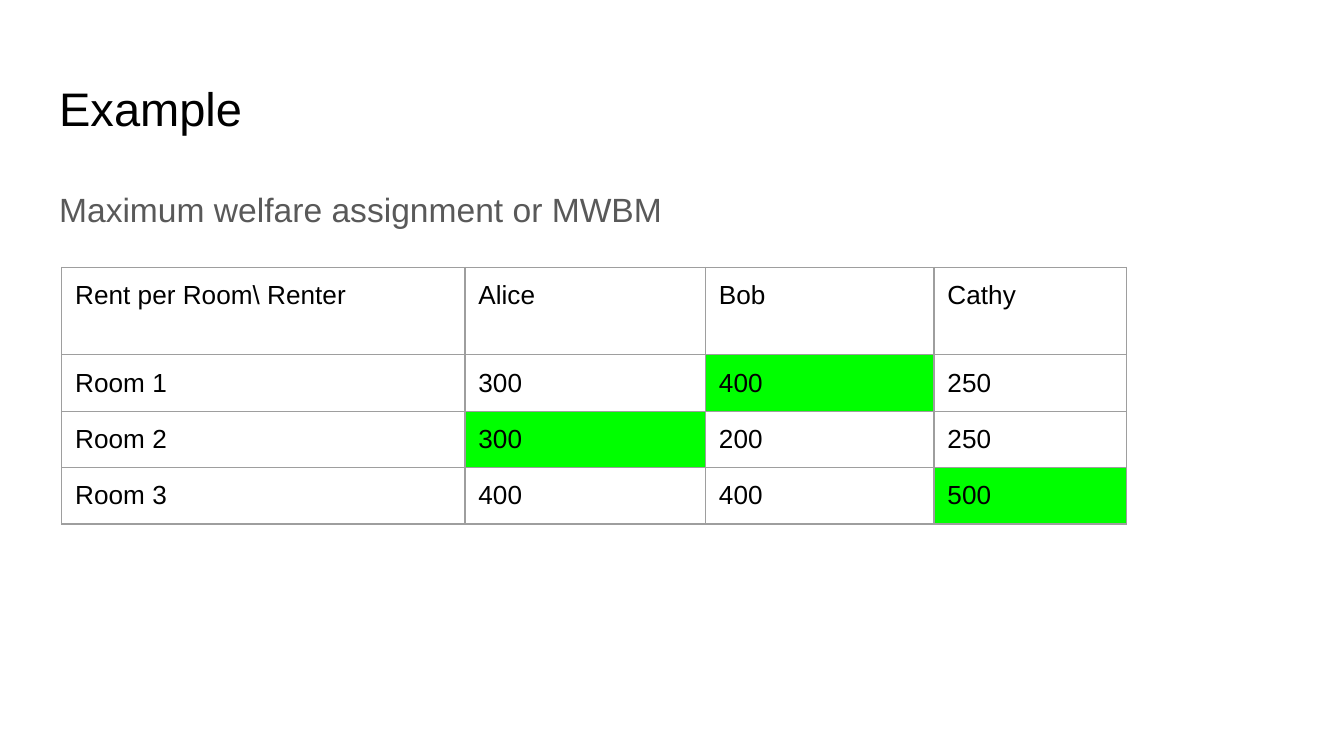
"""Build a slide with a room rent table and its best assignment."""
from lxml.etree import SubElement
from pptx import Presentation
from pptx.dml.color import RGBColor
from pptx.enum.text import MSO_ANCHOR, MSO_AUTO_SIZE, PP_ALIGN
from pptx.oxml import parse_xml
from pptx.oxml.ns import nsdecls, qn
from pptx.util import Inches, Pt

HUES = {"ink": "000000", "gray": "595959", "rule": "9E9E9E", "pick": "00FF00"}
INSET = {f"margin_{side}": Inches(0.1) for side in ("left", "top", "right", "bottom")}
FRAME = {**INSET, "word_wrap": True, "auto_size": MSO_AUTO_SIZE.NONE,
         "vertical_anchor": MSO_ANCHOR.TOP}


def style(para, size, hue):
    para.alignment = PP_ALIGN.LEFT
    look = {"name": "Arial", "size": Pt(size), "bold": False}
    for key, value in look.items():
        setattr(para.font, key, value)
    para.font.color.rgb = RGBColor.from_string(HUES[hue])


deck = Presentation()
deck.slide_width, deck.slide_height = Inches(10), Inches(10 * 9 / 16)
slide = deck.slides.add_slide(deck.slide_layouts[1])
title, body = slide.placeholders

texts = [
    (title, "Example", 0.49, 0.63, 25.2, "ink"),
    (body, "Maximum welfare assignment or MWBM", 1.26, 3.74, 18, "gray"),
]
for shape, text, top, height, size, hue in texts:
    place = {"left": Inches(0.34), "top": Inches(top),
             "width": Inches(9.32), "height": Inches(height)}
    for key, value in place.items():
        setattr(shape, key, value)
    frame = shape.text_frame
    frame.text = text
    for key, value in FRAME.items():
        setattr(frame, key, value)
    style(frame.paragraphs[0], size, hue)

para = body.text_frame.paragraphs[0]
props = para._p.get_or_add_pPr()
props.set("marL", "0")
props.set("indent", "0")
props.insert(0, parse_xml(f"<a:buNone {nsdecls('a')}/>"))
gaps = {"line_spacing": 1.15, "space_before": Pt(0), "space_after": Pt(12)}
for key, value in gaps.items():
    setattr(para, key, value)

rents = [
    ("Rent per Room\\ Renter", "Alice", "Bob", "Cathy"),
    ("Room 1", "300", "400", "250"),
    ("Room 2", "300", "200", "250"),
    ("Room 3", "400", "400", "500"),
]
picks = {(1, 2), (2, 1), (3, 3)}
widths = [3, 1.79, 1.7, 1.43]
heights = [0.65] + [0.42] * 3

table = slide.shapes.add_table(
    len(rents), len(widths), Inches(0.46), Inches(1.99),
    Inches(sum(widths)), Inches(sum(heights))).table
table.first_row = table.horz_banding = False
for col, width in zip(table.columns, widths):
    col.width = Inches(width)
for row, height in zip(table.rows, heights):
    row.height = Inches(height)

for i, line in enumerate(rents):
    for j, text in enumerate(line):
        cell = table.cell(i, j)
        cell.text = text
        for key, value in INSET.items():
            setattr(cell, key, value)
        style(cell.text_frame.paragraphs[0], 14, "ink")
        props = cell._tc.get_or_add_tcPr()
        for side in ("lnL", "lnR", "lnT", "lnB"):
            edge = SubElement(props, qn(f"a:{side}"), w=str(Pt(0.75)))
            fill = SubElement(edge, qn("a:solidFill"))
            SubElement(fill, qn("a:srgbClr"), val=HUES["rule"])
        if (i, j) in picks:
            cell.fill.solid()
            cell.fill.fore_color.rgb = RGBColor.from_string(HUES["pick"])
        else:
            cell.fill.background()

deck.save("out.pptx")
